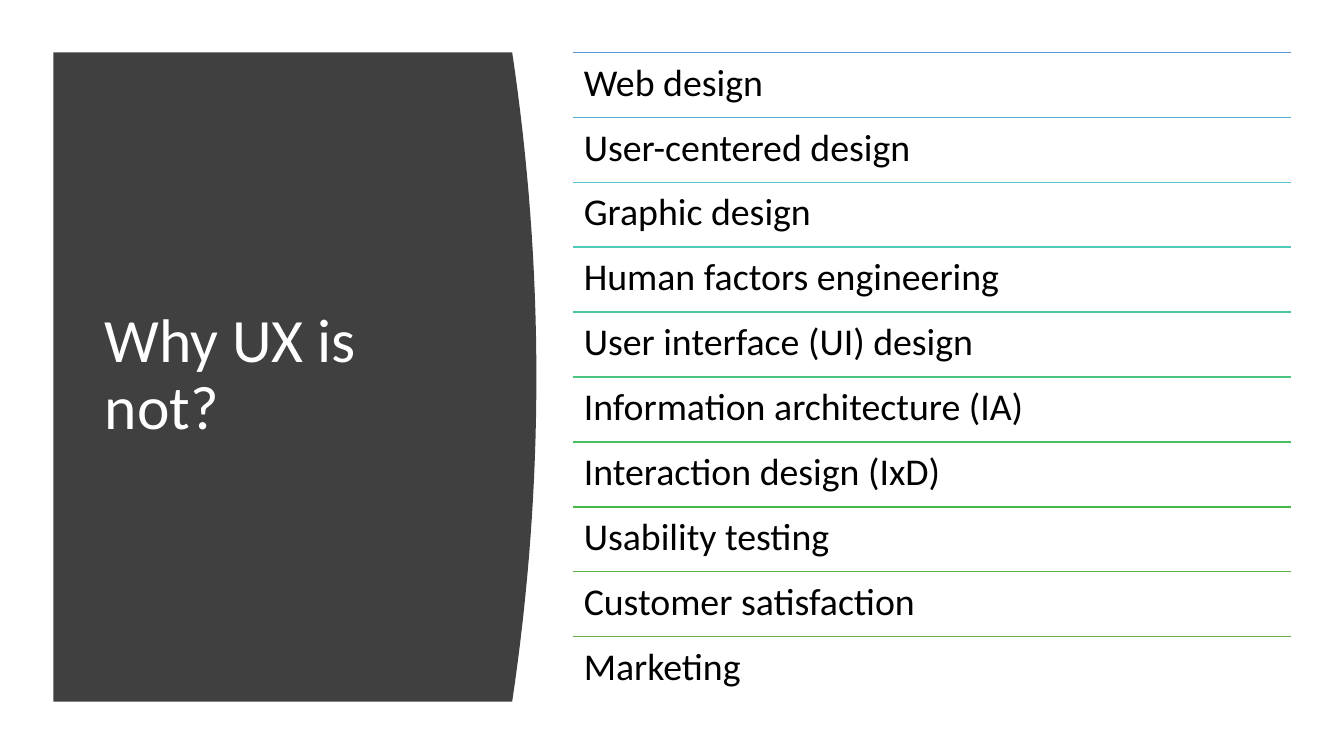
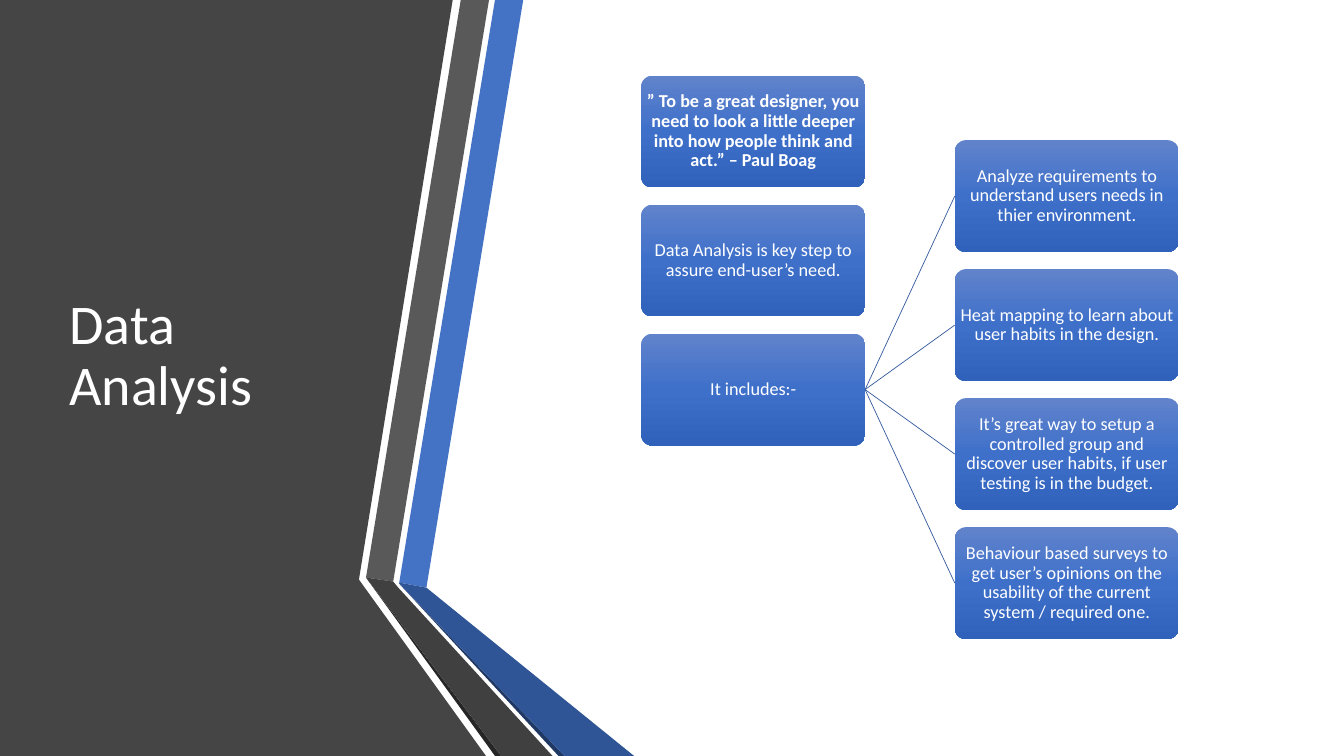
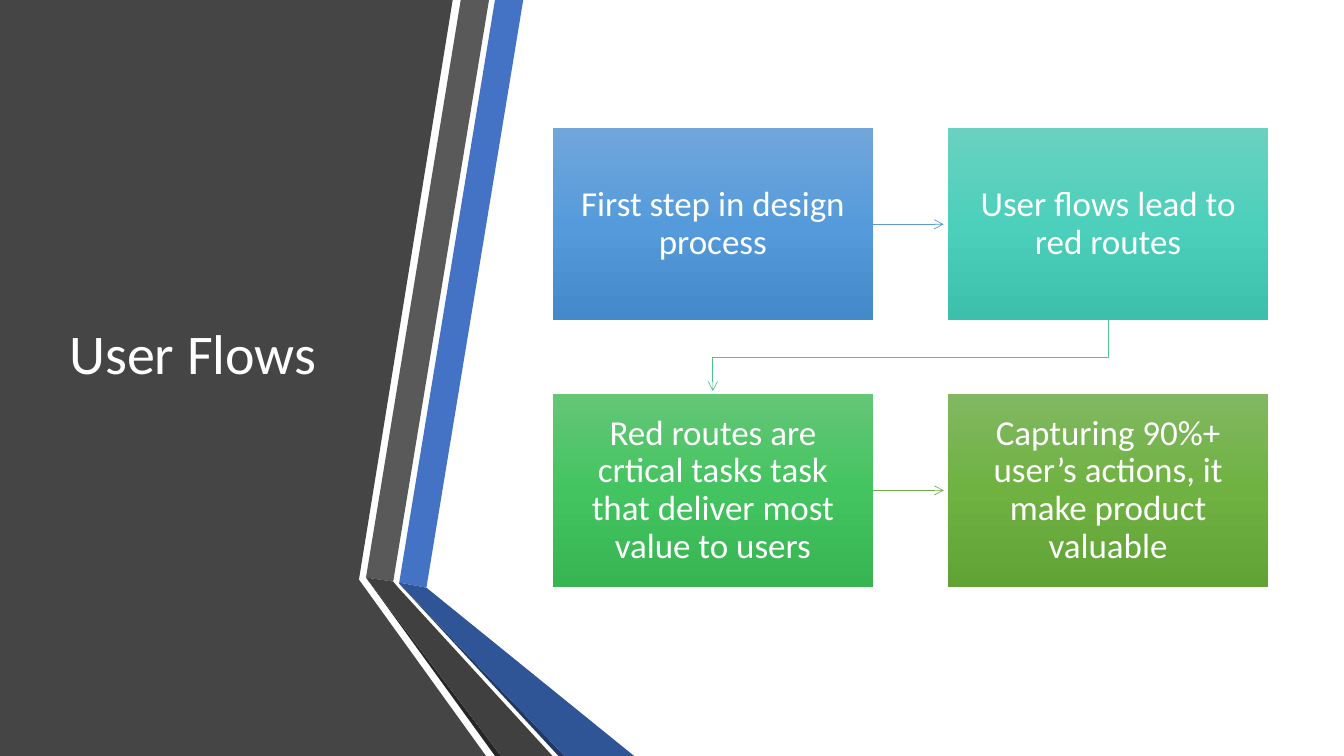
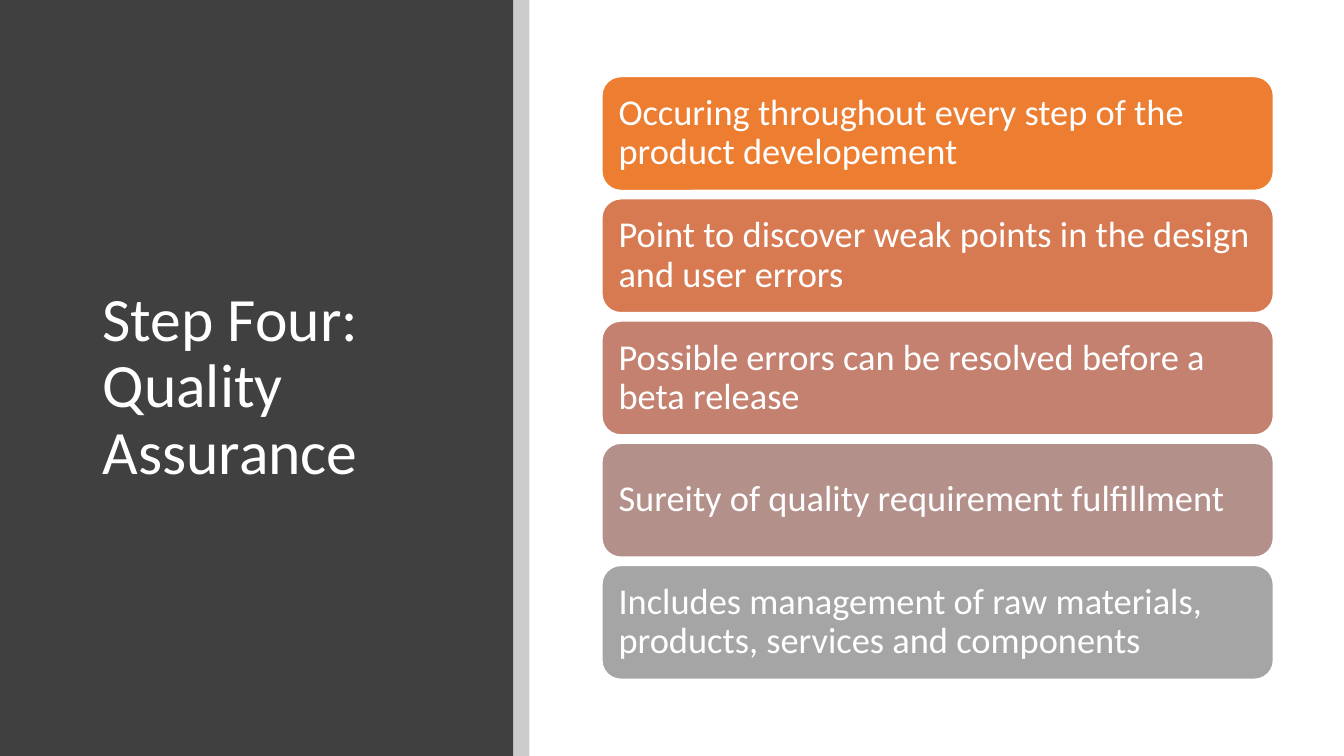
"""Builds four slides on UX practice, each with a dark title panel and a diagram."""
import copy
from dataclasses import dataclass
from typing import Any, Optional, Sequence

import pptx
import pptx.dml.color
import pptx.enum.dml
import pptx.enum.shapes
import pptx.enum.text
import pptx.oxml
import pptx.oxml.ns
import pptx.util
from pptx.util import Inches

SHAPE = pptx.enum.shapes.MSO_SHAPE
ALIGN = pptx.enum.text.PP_ALIGN
ANCHOR = pptx.enum.text.MSO_ANCHOR
qn = pptx.oxml.ns.qn

FONT = "Calibri"
WHITE, BLACK, DARK = "FFFFFF", "000000", "404040"
SLIDE_W, SLIDE_H = 13.33, 7.5
BLUE_GRADIENT = ("6183CB", "3E70CA", "3062BB")
TOP, LEFT, BOTTOM, RIGHT = range(4)

Point = tuple[float, float]


@dataclass(frozen=True)
class Area:
    x: float
    y: float
    w: float
    h: float


@dataclass(frozen=True)
class TextStyle:
    size: float
    color: str = WHITE
    align: Any = ALIGN.LEFT
    anchor: Any = ANCHOR.MIDDLE
    inset_x: float = 0.1
    inset_y: float = 0.05
    bold: bool = False


@dataclass(frozen=True)
class Item:
    text: str
    color: str


@dataclass(frozen=True)
class Step:
    text: str
    gradient: tuple[str, str, str]


@dataclass(frozen=True)
class Facet:
    color: str
    points: tuple[Point, ...]


TITLE_LARGE = TextStyle(44)
TITLE_SMALL = TextStyle(40)
LIST_TEXT = TextStyle(27, BLACK, anchor=ANCHOR.TOP, inset_x=0.11, inset_y=0.11)
NODE_TEXT = TextStyle(13, align=ALIGN.CENTER, inset_x=0.01, inset_y=0.01)
QUOTE_TEXT = TextStyle(13, align=ALIGN.CENTER, inset_x=0.01, inset_y=0.01, bold=True)
STEP_TEXT = TextStyle(25, align=ALIGN.CENTER, inset_x=0.16, inset_y=0.16)
CARD_TEXT = TextStyle(26, inset_x=0.11, inset_y=0.11)

FOLDED_PANEL = (
    Facet("454545", ((0, 0), (4.49, 0), (3.56, 5.75), (4.82, 7.5), (0, 7.5))),
    Facet("4472C4", ((3.96, 5.78), (4.23, 5.83), (5.19, 0), (4.91, 0))),
    Facet("595959", ((4.85, 0), (4.57, 0), (3.63, 5.73), (3.9, 5.77))),
    Facet("262626", ((3.63, 5.73), (4.91, 7.5), (4.97, 7.5))),
    Facet("203864", ((3.96, 5.79), (5.54, 7.5), (5.6, 7.5))),
    Facet("2F5597", ((3.96, 5.79), (5.6, 7.5), (6.29, 7.5), (4.23, 5.83), (3.96, 5.78))),
    Facet(DARK, ((5.48, 7.5), (3.95, 5.83), (3.9, 5.77), (3.63, 5.73), (4.97, 7.5))),
)

NOT_UX = (
    Item("Web design", "5B9BD5"),
    Item("User-centered design", "58B1D2"),
    Item("Graphic design", "55C7CE"),
    Item("Human factors engineering", "52CAB8"),
    Item("User interface (UI) design", "4FC79C"),
    Item("Information architecture (IA)", "4CC37F"),
    Item("Interaction design (IxD)", "49BF64"),
    Item("Usability testing", "47BA49"),
    Item("Customer satisfaction", "5CB447"),
    Item("Marketing", "70AD47"),
)
ANALYSIS_POINTS = (
    "” To be a great designer, you need to look a little deeper into how people think and act.” – Paul Boag",
    "Data Analysis is key step to assure end-user’s need.",
    "It includes:-",
)
ANALYSIS_METHODS = (
    "Analyze requirements to understand users needs in thier environment.",
    "Heat mapping to learn about user habits in the design.",
    "It’s great way to setup a controlled group and discover user habits, if user testing is in the budget.",
    "Behaviour based surveys to get user’s opinions on the usability of the current system / required one.",
)
FLOW_STEPS = (
    Step("First step in design process", ("71A6DB", "559BDB", "448ACA")),
    Step("User flows lead to red routes", ("6AD1C0", "4CD0BC", "3CC0AC")),
    Step("Red routes are crtical tasks task that deliver most value to users",
         ("64C677", "44C460", "36B552")),
    Step("Capturing 90%+ user’s actions, it make product valuable",
         ("81B861", "6FB242", "62A336")),
)
QUALITY_CARDS = (
    Item("Occuring throughout every step of the product developement", "ED7D31"),
    Item("Point to discover weak points in the design and user errors", "D87A51"),
    Item("Possible errors can be resolved before a beta release", "C48170"),
    Item("Sureity of quality requirement fulfillment", "B4908B"),
    Item("Includes management of raw materials, products, services and components", "A5A5A5"),
)


def rgb(color: str) -> pptx.dml.color.RGBColor:
    return pptx.dml.color.RGBColor.from_string(color)


def fill_solid(sp: Any, color: str) -> None:
    sp.fill.solid()
    sp.fill.fore_color.rgb = rgb(color)


def fill_gradient(sp: Any, colors: Sequence[str]) -> None:
    sp.fill.gradient()
    sp.fill.gradient_angle = 270
    stop_list = sp._element.spPr.find(".//" + qn("a:gsLst"))
    stop_list.append(copy.deepcopy(stop_list[-1]))
    for i, (stop, color) in enumerate(zip(sp.fill.gradient_stops, colors)):
        stop.position = i / (len(colors) - 1)
        stop.color.rgb = rgb(color)


def set_line(sp: Any, color: str, width: float, arrow: bool = False) -> None:
    sp.line.color.rgb = rgb(color)
    sp.line.width = pptx.util.Pt(width)
    if arrow:
        tail = pptx.oxml.parse_xml(f'<a:tailEnd {pptx.oxml.ns.nsdecls("a")} type="arrow"/>')
        sp._element.spPr.find(qn("a:ln")).append(tail)


def write(sp: Any, text: str, style: TextStyle) -> None:
    tf = sp.text_frame
    tf.word_wrap = True
    tf.vertical_anchor = style.anchor
    tf.margin_left = tf.margin_right = Inches(style.inset_x)
    tf.margin_top = tf.margin_bottom = Inches(style.inset_y)
    p = tf.paragraphs[0]
    p.alignment = style.align
    p.line_spacing = 0.9
    r = p.add_run()
    r.text = text
    r.font.name = FONT
    r.font.size = pptx.util.Pt(style.size)
    r.font.bold = style.bold
    r.font.color.rgb = rgb(style.color)


def add_text(s: Any, area: Area, text: str, style: TextStyle) -> None:
    sp = s.shapes.add_textbox(Inches(area.x), Inches(area.y), Inches(area.w), Inches(area.h))
    write(sp, text, style)


def add_box(s: Any, kind: Any, area: Area) -> Any:
    sp = s.shapes.add_shape(kind, Inches(area.x), Inches(area.y), Inches(area.w), Inches(area.h))
    sp.shadow.inherit = False
    sp.line.fill.background()
    return sp


def add_outline(s: Any, points: Sequence[Point], close: bool = True) -> Any:
    corners = [(Inches(x), Inches(y)) for x, y in points]
    builder = s.shapes.build_freeform(*corners[0], scale=1.0)
    builder.add_line_segments(corners[1:], close=close)
    sp = builder.convert_to_shape()
    sp.shadow.inherit = False
    return sp


def add_polygon(s: Any, points: Sequence[Point], color: str) -> None:
    sp = add_outline(s, points)
    fill_solid(sp, color)
    sp.line.fill.background()


def add_line(s: Any, start: Point, end: Point, color: str, width: float, arrow: bool = False,
             source: Optional[Any] = None, target: Optional[Any] = None) -> None:
    sp = s.shapes.add_connector(pptx.enum.shapes.MSO_CONNECTOR.STRAIGHT,
                                *(Inches(v) for v in (*start, *end)))
    if source is not None:
        sp.begin_connect(source, RIGHT)
    if target is not None:
        sp.end_connect(target, LEFT)
    set_line(sp, color, width, arrow)
    sp._element.spPr.append(pptx.oxml.parse_xml(f'<a:effectLst {pptx.oxml.ns.nsdecls("a")}/>'))


def add_folded_title(s: Any, title: str) -> None:
    for facet in FOLDED_PANEL:
        add_polygon(s, facet.points, facet.color)
    add_text(s, Area(0.59, 0.75, 3.04, 5.58), title, TITLE_SMALL)


def build_not_ux(s: Any) -> None:
    top, height, edge, bulge, steps = 0.52, 6.44, 5.08, 0.24, 32
    curve = [(edge + bulge * (1 - (2 * i / steps - 1) ** 2), top + height * i / steps)
             for i in range(steps + 1)]
    add_polygon(s, [(0.53, top), *curve, (0.53, top + height)], DARK)
    add_text(s, Area(0.94, 1.11, 3.74, 5.24), "Why UX is not?", TITLE_LARGE)
    left, width, pitch = 5.68, 7.12, height / len(NOT_UX)
    for i, item in enumerate(NOT_UX):
        y = top + i * pitch
        add_line(s, (left, y), (left + width, y), item.color, 1)
        add_text(s, Area(left, y, width, pitch), item.text, LIST_TEXT)


def add_node(s: Any, x: float, y: float, text: str, style: TextStyle) -> Any:
    sp = add_box(s, SHAPE.ROUNDED_RECTANGLE, Area(x, y, 2.22, 1.11))
    sp.adjustments[0] = 0.1
    fill_gradient(sp, BLUE_GRADIENT)
    write(sp, text, style)
    return sp


def build_data_analysis(s: Any) -> None:
    add_folded_title(s, "Data Analysis")
    left, right, top, pitch = 6.36, 9.47, 0.75, 1.28
    nodes = [add_node(s, left, top + i * pitch, text, NODE_TEXT if i else QUOTE_TEXT)
             for i, text in enumerate(ANALYSIS_POINTS)]
    parent_y = top + (len(nodes) - 1) * pitch
    first_y = parent_y - (len(ANALYSIS_METHODS) - 1) / 2 * pitch
    for i, text in enumerate(ANALYSIS_METHODS):
        y = first_y + i * pitch
        method = add_node(s, right, y, text, NODE_TEXT)
        add_line(s, (left + 2.22, parent_y + 0.555), (right, y + 0.555), "365B9D", 0.5,
                 source=nodes[-1], target=method)


def build_user_flows(s: Any) -> None:
    add_folded_title(s, "User Flows")
    left, top, width, height = 5.48, 1.27, 3.18, 1.91
    pitch_x, pitch_y, reach = 3.92, 2.64, 0.7
    boxes = []
    for i, step in enumerate(FLOW_STEPS):
        row, col = divmod(i, 2)
        sp = add_box(s, SHAPE.RECTANGLE,
                     Area(left + col * pitch_x, top + row * pitch_y, width, height))
        fill_gradient(sp, step.gradient)
        write(sp, step.text, STEP_TEXT)
        boxes.append(sp)
    for row, color in enumerate(("5B9BD5", "70AD47")):
        x, y = left + width, top + row * pitch_y + height / 2
        add_line(s, (x, y), (x + reach, y), color, 0.5, arrow=True, source=boxes[2 * row])
    x, y = left + width / 2, top + height
    turn = y + (pitch_y - height) / 2
    sp = add_outline(s, [(x + pitch_x, y), (x + pitch_x, turn), (x, turn), (x, y + reach)],
                     close=False)
    sp.fill.background()
    set_line(sp, "4DC58D", 0.5, arrow=True)


def build_quality(s: Any) -> None:
    panel_w, strip_w = 5.09, 0.16
    fill_solid(add_box(s, SHAPE.RECTANGLE, Area(0, 0, panel_w, SLIDE_H)), DARK)
    add_text(s, Area(0.92, 0.89, 3.65, 5.91), "Step Four: Quality Assurance", TITLE_LARGE)
    strip = add_box(s, SHAPE.RECTANGLE, Area(panel_w, 0, strip_w, SLIDE_H))
    fill_solid(strip, BLACK)
    alpha = pptx.oxml.parse_xml(f'<a:alpha {pptx.oxml.ns.nsdecls("a")} val="20000"/>')
    strip._element.spPr.find(".//" + qn("a:srgbClr")).append(alpha)
    first, last = 0.76, 5.61
    pitch = (last - first) / (len(QUALITY_CARDS) - 1)
    for i, card in enumerate(QUALITY_CARDS):
        sp = add_box(s, SHAPE.ROUNDED_RECTANGLE, Area(5.97, first + i * pitch, 6.66, 1.13))
        fill_solid(sp, card.color)
        set_line(sp, WHITE, 1)
        write(sp, card.text, CARD_TEXT)


def main() -> None:
    prs = pptx.Presentation()
    prs.slide_width, prs.slide_height = Inches(SLIDE_W), Inches(SLIDE_H)
    for build in (build_not_ux, build_data_analysis, build_user_flows, build_quality):
        build(prs.slides.add_slide(prs.slide_layouts[6]))
    prs.save("out.pptx")


if __name__ == "__main__":
    main()
